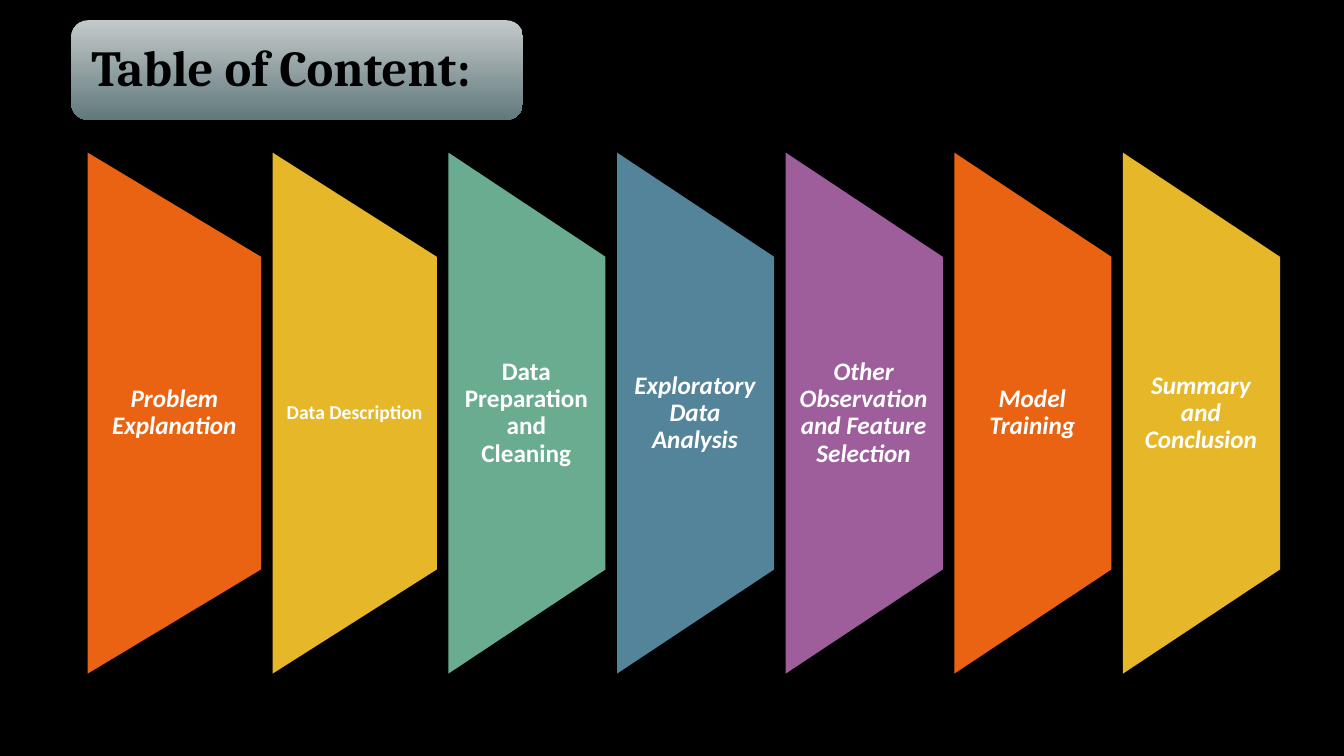
"""Builds the table-of-content slide with seven coloured panels."""
from pptx import Presentation
from pptx.dml.color import RGBColor
from pptx.enum.shapes import MSO_SHAPE
from pptx.enum.text import MSO_ANCHOR, PP_ALIGN
from pptx.util import Cm, Pt

PANEL_SHAPE = MSO_SHAPE.FLOWCHART_MANUAL_OPERATION
TITLE_SHAPE = MSO_SHAPE.ROUNDED_RECTANGLE
MIDDLE = MSO_ANCHOR.MIDDLE
LEFT, CENTER = PP_ALIGN.LEFT, PP_ALIGN.CENTER

BACKGROUND, WHITE, BLACK = "000000", "FFFFFF", "000000"
ORANGE, YELLOW, GREEN, BLUE, PURPLE = "EA6312", "E6B729", "6AAC90", "54849A", "9E5E9B"

TITLE = "Table of Content:"
TITLE_BOX = (1.8, 0.51, 11.38, 2.51)
TITLE_GRADIENT = ("C4C9CA", "61797C")

# text, colour, width, size, italic, left and right inset
CHAPTERS = [
    ("Problem Explanation", ORANGE, 4.37, 18, True, (0.3, 0.3)),
    ("Data Description", YELLOW, 4.14, 14, False, (0.25, 0.25)),
    ("Data Preparation and Cleaning", GREEN, 3.96, 18, False, (0.3, 0.33)),
    ("Exploratory Data Analysis", BLUE, 3.96, 18, True, (0.3, 0.33)),
    ("Other Observation and Feature Selection", PURPLE, 3.96, 18, True, (0.3, 0.33)),
    ("Model Training", ORANGE, 3.96, 18, True, (0.3, 0.33)),
    ("Summary and Conclusion", YELLOW, 3.96, 18, True, (0.3, 0.33)),
]
FIRST_LEFT, GAP, CENTER_Y = 2.21, 0.29, 10.41
PANEL_HEIGHT, LABEL_HEIGHT = 13.13, 7.87


def color(hex_code):
    return RGBColor.from_string(hex_code)


def write(frame, text, font_name, size, hex_code, align, insets, italic=False):
    frame.word_wrap = True
    frame.vertical_anchor = MIDDLE
    frame.margin_left, frame.margin_right = (Cm(inset) for inset in insets)
    frame.margin_top = frame.margin_bottom = 0
    paragraph = frame.paragraphs[0]
    paragraph.text = text
    paragraph.alignment = align
    paragraph.line_spacing = 0.9
    font = paragraph.font
    font.name, font.size = font_name, Pt(size)
    font.bold, font.italic = True, italic
    font.color.rgb = color(hex_code)


def add_chapter(slide, left, text, hex_code, width, size, italic, insets):
    panel = slide.shapes.add_shape(
        PANEL_SHAPE,
        Cm(left + (width - PANEL_HEIGHT) / 2), Cm(CENTER_Y - width / 2),
        Cm(PANEL_HEIGHT), Cm(width),
    )
    panel.rotation = 270
    panel.shadow.inherit = False
    panel.fill.solid()
    panel.fill.fore_color.rgb = color(hex_code)
    panel.line.fill.background()
    label = slide.shapes.add_textbox(
        Cm(left), Cm(CENTER_Y - LABEL_HEIGHT / 2), Cm(width), Cm(LABEL_HEIGHT)
    )
    write(label.text_frame, text, "Calibri", size, WHITE, CENTER, insets, italic)


def add_title(slide):
    banner = slide.shapes.add_shape(TITLE_SHAPE, *map(Cm, TITLE_BOX))
    banner.shadow.inherit = False
    banner.line.fill.background()
    banner.fill.gradient()
    banner.fill.gradient_angle = 270
    for stop, hex_code in zip(banner.fill.gradient_stops, TITLE_GRADIENT):
        stop.color.rgb = color(hex_code)
    write(banner.text_frame, TITLE, "Cambria", 36, BLACK, LEFT, (0.38, 0.38))


def main():
    presentation = Presentation()
    presentation.slide_width, presentation.slide_height = Cm(33.87), Cm(19.05)
    slide = presentation.slides.add_slide(presentation.slide_layouts[6])
    slide.background.fill.solid()
    slide.background.fill.fore_color.rgb = color(BACKGROUND)

    left = FIRST_LEFT
    for text, hex_code, width, size, italic, insets in CHAPTERS:
        add_chapter(slide, left, text, hex_code, width, size, italic, insets)
        left += width + GAP
    add_title(slide)
    presentation.save("out.pptx")


if __name__ == "__main__":
    main()
